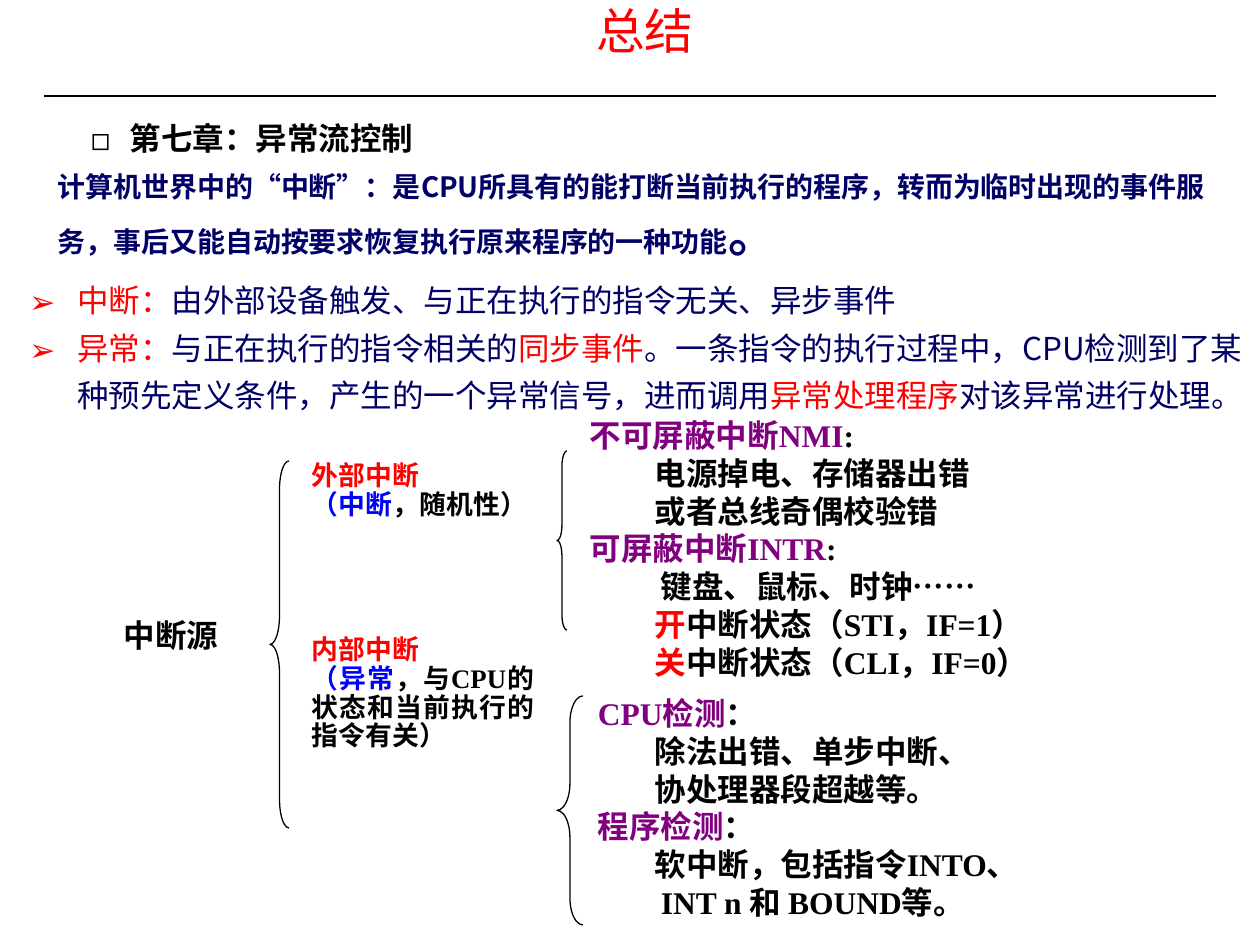
from dataclasses import dataclass
from lxml import etree
from pptx import Presentation
from pptx.dml.color import RGBColor
from pptx.enum.shapes import MSO_CONNECTOR, MSO_SHAPE
from pptx.enum.text import MSO_ANCHOR, PP_ALIGN
from pptx.oxml.ns import qn
from pptx.util import Emu, Pt

LEFT, CENTER, JUSTIFY = PP_ALIGN.LEFT, PP_ALIGN.CENTER, PP_ALIGN.JUSTIFY
TOP, MIDDLE = MSO_ANCHOR.TOP, MSO_ANCHOR.MIDDLE
BRACE, STRAIGHT = MSO_SHAPE.LEFT_BRACE, MSO_CONNECTOR.STRAIGHT
SCALE = 914400 / 126


@dataclass(frozen=True)
class Theme:
    black: str = "000000"
    red: str = "FF0000"
    blue: str = "0000FF"
    navy: str = "000066"
    purple: str = "800080"
    sans: str = "Noto Sans CJK SC"
    arial: str = "Arial"
    serif: str = "Times New Roman"
    title: float = 27.9
    body: float = 18
    lead: float = 16
    note: float = 15.3
    stop: float = 28
    rule: float = 0.75


T = Theme()

# A paragraph is (indent in px, runs); a run is (words, colour[, size]).
TITLE = [(0, [("总结", T.red)])]
CHAPTER = [(102, [("第七章：异常流控制", T.black)])]
LEAD = [(0, [
    ("计算机世界中的“中断”：是CPU所具有的能打断当前执行的程序，转而为临时出现的事件服务，"
     "事后又能自动按要求恢复执行原来程序的一种功能", T.navy),
    ("。", T.navy, T.stop),
])]
TERMS = [
    (48, [("中断：", T.red),
          ("由外部设备触发、与正在执行的指令无关、异步事件", T.navy)]),
    (48, [("异常：", T.red),
          ("与正在执行的指令相关的", T.navy),
          ("同步事件", T.red),
          ("。一条指令的执行过程中，CPU检测到了某种预先定义条件，"
           "产生的一个异常信号，进而调用", T.navy),
          ("异常处理程序", T.red),
          ("对该异常进行处理。", T.navy)]),
]
SOURCE = [(0, [("中断源", T.black)])]
OUTER = [
    (0, [("外部中断", T.red)]),
    (0, [("（中断", T.blue), ("，随机性）", T.black)]),
]
INNER = [
    (0, [("内部中断", T.red)]),
    (0, [("（异常", T.blue), ("，与CPU的状态和当前执行的指令有关）", T.black)]),
]
MASKS = [
    (0, [("不可屏蔽中断NMI", T.purple), (":", T.black)]),
    (65, [("电源掉电、存储器出错", T.black)]),
    (65, [("或者总线奇偶校验错", T.black)]),
    (0, [("可屏蔽中断INTR", T.purple), (":", T.black)]),
    (71, [("键盘、鼠标、时钟……", T.black)]),
    (65, [("开", T.red), ("中断状态（STI，IF=1）", T.black)]),
    (65, [("关", T.red), ("中断状态（CLI，IF=0）", T.black)]),
]
CHECKS = [
    (0, [("CPU检测", T.purple), ("：", T.black)]),
    (57, [("除法出错、单步中断、", T.black)]),
    (57, [("协处理器段超越等。", T.black)]),
    (0, [("程序检测", T.purple), ("：", T.black)]),
    (57, [("软中断，包括指令INTO、", T.black)]),
    (63, [("INT n 和 BOUND等。", T.black)]),
]

WIDE, TIGHT = (13, 6), (3, 1)
TREE = dict(font=T.serif, bold=True, align=JUSTIFY, inset=TIGHT)
NOTE = dict(TREE, size=T.note, space=0.9)
TEXTS = [
    (CHAPTER, (15, 112, 1245, 50),
     dict(bold=True, space=Pt(22), mark="◻", tint=T.black, hang=39)),
    (TITLE, (78, -3, 1134, 77),
     dict(font=T.arial, size=T.title, align=CENTER, anchor=MIDDLE, space=0.8)),
    (OUTER, (309, 461, 228, 60), NOTE),
    (INNER, (309, 635, 228, 120), NOTE),
    (MASKS, (587, 415, 600, 304), TREE),
    (CHECKS, (595, 693, 504, 240), TREE),
    (SOURCE, (111, 610, 139, 50), dict(font=T.arial, bold=True)),
    (LEAD, (45, 164, 1200, 106), dict(size=T.lead, bold=True)),
    (TERMS, (16, 266, 1244, 202),
     dict(space=1.25, mark="➢", tint=T.red, hang=48)),
]
# Each brace: box and curve height as a share of its width.
BRACES = [
    ((270, 461, 19, 367), 1.5),
    ((557, 451, 10, 179), 1.5),
    ((557, 696, 26, 229), 1.04),
]


def px(n):
    return Emu(round(n * SCALE))


def add_mark(props, mark, tint):
    color = etree.SubElement(props, qn("a:buClr"))
    etree.SubElement(color, qn("a:srgbClr"), val=tint)
    etree.SubElement(props, qn("a:buFont"), typeface=T.sans)
    etree.SubElement(props, qn("a:buChar"), char=mark)


def add_text(slide, paras, box, font=T.sans, size=T.body, bold=False,
             align=LEFT, anchor=TOP, inset=WIDE, space=None,
             mark=None, tint=None, hang=0):
    frame = slide.shapes.add_textbox(*map(px, box)).text_frame
    frame.word_wrap = True
    frame.vertical_anchor = anchor
    frame.margin_left = frame.margin_right = px(inset[0])
    frame.margin_top = frame.margin_bottom = px(inset[1])
    for i, (indent, runs) in enumerate(paras):
        para = frame.paragraphs[0] if i == 0 else frame.add_paragraph()
        para.alignment = align
        para.line_spacing = space
        props = para._p.get_or_add_pPr()
        props.set("marL", str(px(indent)))
        props.set("indent", str(px(-hang)))
        if mark:
            add_mark(props, mark, tint)
        for words, color, *own in runs:
            run = para.add_run()
            run.text = words
            run.font.name = font
            run.font.size = Pt(own[0] if own else size)
            run.font.bold = bold
            run.font.color.rgb = RGBColor.from_string(color)
            etree.SubElement(run._r.get_or_add_rPr(), qn("a:ea"), typeface=T.sans)


def set_line(shape):
    shape.line.color.rgb = RGBColor.from_string(T.black)
    shape.line.width = Pt(T.rule)


def add_brace(slide, box, curve):
    brace = slide.shapes.add_shape(BRACE, *map(px, box))
    brace.adjustments[0] = curve
    brace.shadow.inherit = False
    brace.fill.background()
    set_line(brace)


def add_rule(slide, x1, x2, y):
    rule = slide.shapes.add_connector(STRAIGHT, px(x1), px(y), px(x2), px(y))
    set_line(rule)
    etree.SubElement(rule._element.spPr, qn("a:effectLst"))


def main():
    deck = Presentation()
    deck.slide_width, deck.slide_height = px(1260), px(945)
    slide = deck.slides.add_slide(deck.slide_layouts[6])
    add_rule(slide, 44, 1216, 96)
    for box, curve in BRACES:
        add_brace(slide, box, curve)
    for paras, box, style in TEXTS:
        add_text(slide, paras, box, **style)
    deck.save("out.pptx")


if __name__ == "__main__":
    main()
